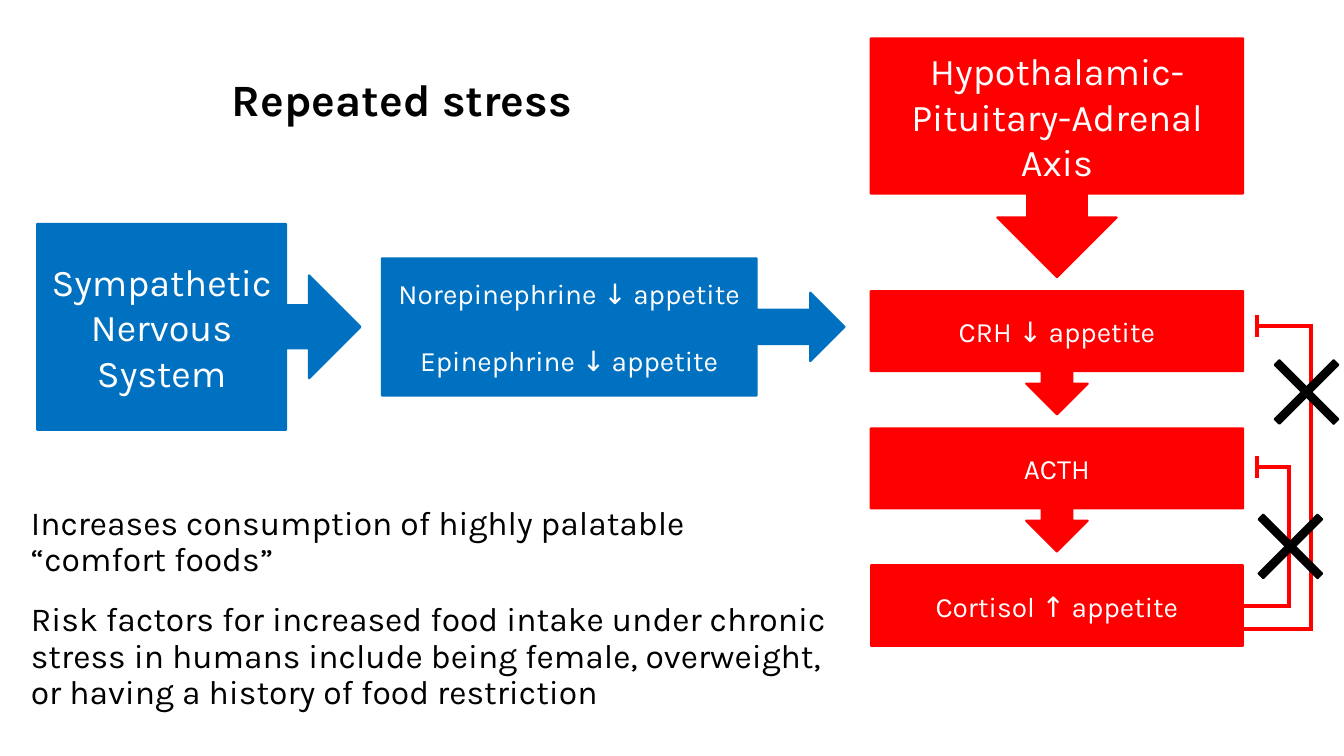
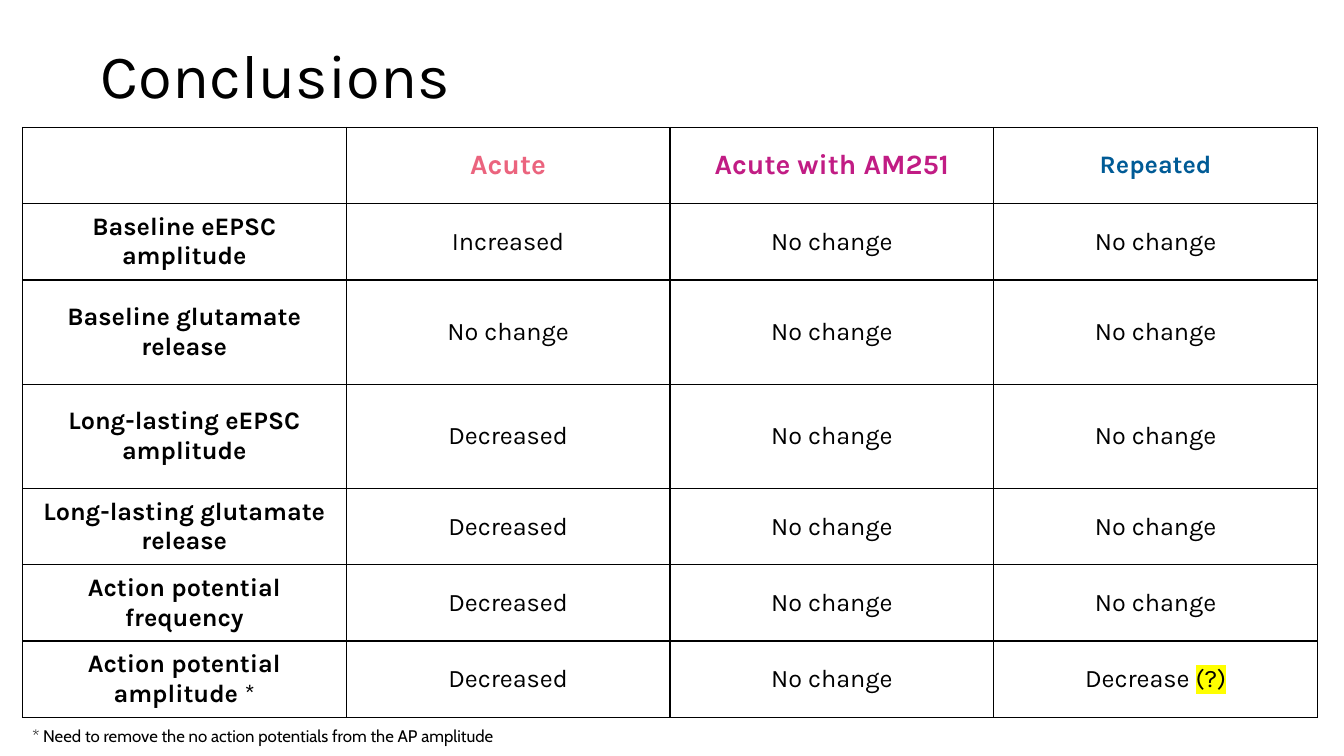
from lxml import etree
from pptx import Presentation
from pptx.dml.color import RGBColor
from pptx.enum.shapes import MSO_CONNECTOR, MSO_SHAPE
from pptx.enum.text import MSO_ANCHOR, PP_ALIGN
from pptx.oxml.ns import qn
from pptx.util import Pt

RECTANGLE = MSO_SHAPE.RECTANGLE
DOWN_CALLOUT = MSO_SHAPE.DOWN_ARROW_CALLOUT
RIGHT_CALLOUT = MSO_SHAPE.RIGHT_ARROW_CALLOUT
STRAIGHT = MSO_CONNECTOR.STRAIGHT
LEFT, CENTER = PP_ALIGN.LEFT, PP_ALIGN.CENTER
TOP, MIDDLE = MSO_ANCHOR.TOP, MSO_ANCHOR.MIDDLE
RIGHT_SIDE = 3

BLACK, WHITE, RED, BLUE = "000000", "FFFFFF", "FF0000", "0070C0"
YELLOW = "FFFF00"

BODY = {"name": "Karla", "size": Pt(24), "bold": False}
TITLE = {**BODY, "size": Pt(44)}
HEADING = {**BODY, "size": Pt(32), "bold": True}
BRANCH = {**BODY, "size": Pt(27)}
STEP = {**BODY, "size": Pt(20)}
CELL = {**BODY, "size": Pt(18)}
ROW_LABEL = {**CELL, "bold": True}
FOOTNOTE = {"name": "Cabin", "size": Pt(12), "bold": False}

COLUMN_HEADERS = [
    ("", ROW_LABEL, BLACK),
    ("Acute", {**STEP, "bold": True}, "EB647E"),
    ("Acute with AM251", {**STEP, "bold": True}, "C11C84"),
    ("Repeated", ROW_LABEL, "005B96"),
]
FINDINGS = [
    ("Baseline eEPSC amplitude", "Increased", "No change", "No change"),
    ("Baseline glutamate release", "No change", "No change", "No change"),
    ("Long-lasting eEPSC amplitude", "Decreased", "No change", "No change"),
    ("Long-lasting glutamate release", "Decreased", "No change", "No change"),
    ("Action potential frequency", "Decreased", "No change", "No change"),
    ("Action potential amplitude ", "Decreased", "No change", "Decrease "),
]
ROW_HEIGHTS = [54.5, 54.5, 74.5, 74.5, 54.5, 54.5, 54.5]


def color(hex_string):
    return RGBColor.from_string(hex_string)


def add_run(paragraph, text, style, text_color):
    run = paragraph.add_run()
    run.text = text
    run.font.color.rgb = color(text_color)
    for attribute, value in style.items():
        setattr(run.font, attribute, value)
    return run


def highlight(run, hex_string):
    mark = etree.Element(qn("a:highlight"))
    etree.SubElement(mark, qn("a:srgbClr"), val=hex_string)
    run.font._element.find(qn("a:solidFill")).addnext(mark)


def write(frame, lines, style, text_color, alignment=LEFT, anchor=TOP, spacing=1.0, gap=0):
    frame.word_wrap = True
    frame.vertical_anchor = anchor
    for index, line in enumerate(lines):
        paragraph = frame.add_paragraph() if index else frame.paragraphs[0]
        paragraph.alignment = alignment
        paragraph.line_spacing = spacing
        if index:
            paragraph.space_before = Pt(gap)
        add_run(paragraph, line, style, text_color)


def add_text(slide, box, text, style, **layout):
    shape = slide.shapes.add_textbox(*map(Pt, box))
    write(shape.text_frame, [text], style, BLACK, **layout)


def add_block(slide, kind, box, fill, lines=(), style=STEP, gap=0, adjustments=()):
    shape = slide.shapes.add_shape(kind, *map(Pt, box))
    shape.shadow.inherit = False
    shape.fill.solid()
    shape.fill.fore_color.rgb = color(fill)
    shape.line.color.rgb = color(fill)
    shape.line.width = Pt(1.5)
    for index, value in enumerate(adjustments):
        shape.adjustments[index] = value
    write(shape.text_frame, lines, style, WHITE, CENTER, MIDDLE, gap=gap)
    return shape


def add_line(slide, start, end):
    connector = slide.shapes.add_connector(STRAIGHT, *map(Pt, (*start, *end)))
    connector.line.color.rgb = color(RED)
    connector.line.width = Pt(3)
    etree.SubElement(connector._element.spPr, qn("a:effectLst"))
    return connector


def add_hormone_cascade(slide, left, top, width):
    add_block(slide, DOWN_CALLOUT, (left, top, width, 170.6), RED,
              ["Hypothalamic-Pituitary-Adrenal Axis"], BRANCH)
    first_step, pitch = top + 180.6, 98
    for index, label in enumerate(["CRH ↓ appetite", "ACTH"]):
        add_block(slide, DOWN_CALLOUT, (left, first_step + index * pitch, width, 88), RED, [label])
    return add_block(slide, RECTANGLE, (left, first_step + 2 * pitch, width, 57.6), RED,
                     ["Cortisol ↑ appetite"])


def add_sympathetic_branch(slide, left, top):
    add_block(slide, RIGHT_CALLOUT, (left, top, 231, 147), BLUE,
              ["Sympathetic", "Nervous", "System"], BRANCH,
              adjustments=(0.21, 0.25, 0.25, 0.77))
    add_block(slide, RIGHT_CALLOUT, (left + 246.3, top + 24.5, 330.5, 98), BLUE,
              ["Norepinephrine ↓ appetite", "Epinephrine ↓ appetite"], gap=23.5,
              adjustments=(0.25, 0.25, 0.25, 0.81))


def add_feedback_loop(slide, start, bend, target):
    overlap = 1.5
    target_left, target_top = target
    outgoing = add_line(slide, start, (bend + overlap, start[1]))
    add_line(slide, (bend, target_top), (bend, start[1]))
    add_line(slide, target, (bend + overlap, target_top))
    add_line(slide, (target_left, target_top - 8), (target_left, target_top + 8))
    return outgoing


def add_cross(slide, center_left, center_top):
    width, height = 4.7, 59.5
    for angle in (-45, 45):
        box = (center_left - width / 2, center_top - height / 2, width, height)
        add_block(slide, RECTANGLE, box, BLACK).rotation = angle


def border_cell(cell):
    properties = cell._tc.get_or_add_tcPr()
    for index, side in enumerate(("a:lnL", "a:lnR", "a:lnT", "a:lnB")):
        line = etree.Element(qn(side), w=str(Pt(1)))
        fill = etree.SubElement(line, qn("a:solidFill"))
        etree.SubElement(fill, qn("a:srgbClr"), val=BLACK)
        properties.insert(index, line)


def add_findings_table(slide, left, top, width):
    rows = [COLUMN_HEADERS]
    for label, *results in FINDINGS:
        rows.append([(label, ROW_LABEL, BLACK)] + [(result, CELL, BLACK) for result in results])
    table = slide.shapes.add_table(len(rows), len(COLUMN_HEADERS),
                                   *map(Pt, (left, top, width, sum(ROW_HEIGHTS)))).table
    table.first_row = table.horz_banding = False
    for column in table.columns:
        column.width = Pt(width / len(COLUMN_HEADERS))
    for row_index, row in enumerate(rows):
        table.rows[row_index].height = Pt(ROW_HEIGHTS[row_index])
        for column_index, (text, style, text_color) in enumerate(row):
            cell = table.cell(row_index, column_index)
            cell.fill.background()
            border_cell(cell)
            cell.vertical_anchor = MIDDLE
            paragraph = cell.text_frame.paragraphs[0]
            paragraph.alignment = CENTER
            if text:
                add_run(paragraph, text, style, text_color)
    last = len(rows) - 1
    add_run(table.cell(last, 0).text_frame.paragraphs[0], "*", CELL, BLACK)
    question = add_run(table.cell(last, 3).text_frame.paragraphs[0], "(?)", CELL, BLACK)
    highlight(question, YELLOW)


def build_stress_slide(slide):
    cortisol = add_hormone_cascade(slide, 622, 27.4, 266)
    add_sympathetic_branch(slide, 26.5, 160)
    inner = add_feedback_loop(slide, (888, 432.8), 921, (898, 333.5))
    inner.begin_connect(cortisol, RIGHT_SIDE)
    add_feedback_loop(slide, (888, 449.3), 936.7, (898, 232.8))
    add_cross(slide, 921.7, 390.3)
    add_cross(slide, 933.3, 280)
    add_text(slide, (15, 358, 556, 65),
             "Increases consumption of highly palatable “comfort foods”", BODY, spacing=0.9)
    add_text(slide, (15, 427, 590, 100),
             "Risk factors for increased food intake under chronic stress in humans include "
             "being female, overweight, or having a history of food restriction",
             BODY, spacing=0.9)
    add_text(slide, (0, 47.5, 574.5, 46), "Repeated stress", HEADING, alignment=CENTER)


def build_conclusions_slide(slide):
    add_text(slide, (65, 3.6, 828, 104.4), "Conclusions", TITLE, anchor=MIDDLE, spacing=0.9)
    add_findings_table(slide, 16, 91, 925.2)
    add_text(slide, (16, 515, 510, 22),
             "* Need to remove the no action potentials from the AP amplitude", FOOTNOTE)


def main():
    presentation = Presentation()
    presentation.slide_width = Pt(960)
    presentation.slide_height = Pt(540)
    blank = presentation.slide_layouts[6]
    for build in (build_stress_slide, build_conclusions_slide):
        build(presentation.slides.add_slide(blank))
    presentation.save("out.pptx")


if __name__ == "__main__":
    main()
